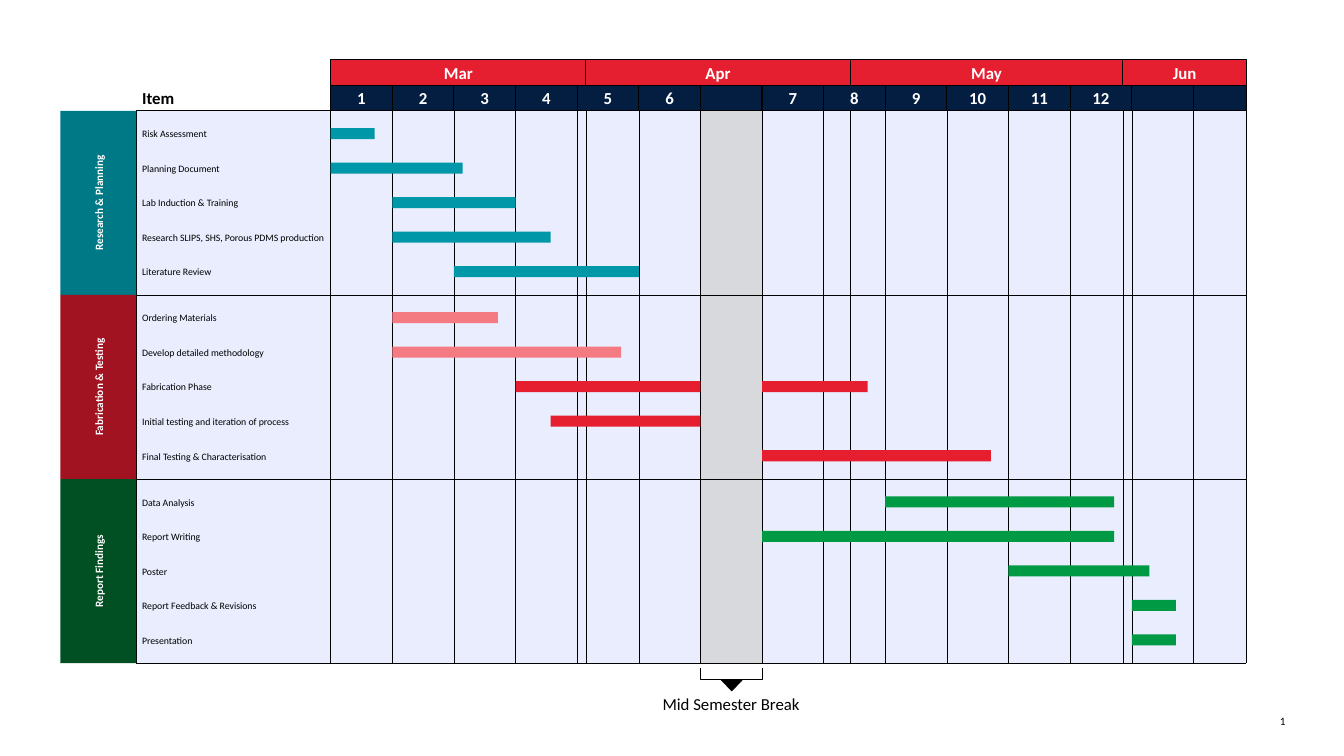
from lxml import etree
from pptx import Presentation
from pptx.dml.color import RGBColor
from pptx.enum.dml import MSO_LINE
from pptx.enum.shapes import MSO_CONNECTOR, MSO_SHAPE
from pptx.enum.text import MSO_ANCHOR, PP_ALIGN
from pptx.oxml.ns import qn
from pptx.util import Inches, Pt

RECT, BRACKET, WEDGE = MSO_SHAPE.RECTANGLE, MSO_SHAPE.RIGHT_BRACKET, MSO_SHAPE.ISOSCELES_TRIANGLE
LEFT, MID, RIGHT = PP_ALIGN.LEFT, PP_ALIGN.CENTER, PP_ALIGN.RIGHT
TOP, CENTRE, LOW = MSO_ANCHOR.TOP, MSO_ANCHOR.MIDDLE, MSO_ANCHOR.BOTTOM
STRAIGHT, DOTS = MSO_CONNECTOR.STRAIGHT, MSO_LINE.ROUND_DOT

BLACK, WHITE, RED, NAVY = "000000", "FFFFFF", "E51F30", "041E42"
TEAL, PINK, GREEN = "0097A9", "F47B81", "009A44"
SIDE, EDGE, START, END = 0.6, 1.35, 3.28, 12.36
HEAD, BODY, FOOT = 0.59, 1.1, 6.58
LABEL = EDGE + 0.06
DAYS = 104
DAY = (END - START) / DAYS
BAND = (FOOT - BODY) / 3
ROW, PAD, BAR = 1.37 / 4, 0.17, 0.11
BREAK = 42

MONTHS = [("Mar", 29), ("Apr", 30), ("May", 31), ("Jun", 14)]
WEEKS = ["1", "2", "3", "4", "5", "6", "", "7", "8", "9", "10", "11", "12", "", ""]
PHASES = [
    ("Research & Planning", "007986", [
        ("Risk Assessment", TEAL, [(0, 5)]),
        ("Planning Document", TEAL, [(0, 15)]),
        ("Lab Induction & Training", TEAL, [(7, 14)]),
        ("Research SLIPS, SHS, Porous PDMS production", TEAL, [(7, 18)]),
        ("Literature Review", TEAL, [(14, 21)])]),
    ("Fabrication & Testing", "A11321", [
        ("Ordering Materials", PINK, [(7, 12)]),
        ("Develop detailed methodology", PINK, [(7, 26)]),
        ("Fabrication Phase", RED, [(21, 21), (49, 12)]),
        ("Initial testing and iteration of process", RED, [(25, 17)]),
        ("Final Testing & Characterisation", RED, [(49, 26)])]),
    ("Report Findings", "005024", [
        ("Data Analysis", GREEN, [(63, 26)]),
        ("Report Writing", GREEN, [(49, 40)]),
        ("Poster", GREEN, [(77, 16)]),
        ("Report Feedback & Revisions", GREEN, [(91, 5)]),
        ("Presentation", GREEN, [(91, 5)])]),
]


def tint(code):
    """Turn a hex string into a colour."""
    return RGBColor.from_string(code)


def day_x(day):
    """Give the horizontal place of a day."""
    return START + day * DAY


def write(frame, words, size, code=BLACK, bold=False, align=LEFT, anchor=TOP, inset=(0, 0)):
    """Put one styled run in a text frame."""
    frame.word_wrap = True
    frame.vertical_anchor = anchor
    frame.margin_left = frame.margin_right = Inches(inset[0])
    frame.margin_top = frame.margin_bottom = Inches(inset[1])
    para = frame.paragraphs[0]
    para.alignment = align
    run = para.add_run()
    run.text = words
    run.font.name, run.font.size, run.font.bold = "Calibri", Pt(size), bold
    run.font.color.rgb = tint(code)


def block(slide, x, y, w, h, fill=None, edge=None, kind=RECT):
    """Add a flat shape with an optional fill and outline."""
    shape = slide.shapes.add_shape(kind, Inches(x), Inches(y), Inches(w), Inches(h))
    shape.shadow.inherit = False
    if fill:
        shape.fill.solid()
        shape.fill.fore_color.rgb = tint(fill)
    else:
        shape.fill.background()
    if edge:
        shape.line.color.rgb = tint(edge)
        shape.line.width = Pt(0.75)
    else:
        shape.line.fill.background()
    return shape


def label(slide, x, y, w, h, words, size, **style):
    """Add a text box."""
    box = slide.shapes.add_textbox(Inches(x), Inches(y), Inches(w), Inches(h))
    write(box.text_frame, words, size, **style)


def rule(slide, x1, y1, x2, y2, width=0.25, dash=None):
    """Add a thin black line."""
    line = slide.shapes.add_connector(STRAIGHT, Inches(x1), Inches(y1), Inches(x2), Inches(y2))
    line.line.color.rgb = tint(BLACK)
    line.line.width = Pt(width)
    if dash:
        line.line.dash_style = dash
    etree.SubElement(line._element.spPr, qn("a:effectLst"))


def header(slide, first, last, y, words, fill):
    """Add a header cell that spans some days."""
    cell = block(slide, day_x(first), y, (last - first) * DAY, (BODY - HEAD) / 2, fill, BLACK)
    if words:
        write(cell.text_frame, words, 12, WHITE, True, MID, CENTRE, (0, 0.03))


def calendar(slide):
    """Draw the month and week headers with their grid."""
    first = 0
    for name, span in MONTHS:
        header(slide, first, first + span, HEAD, name, RED)
        if first:
            rule(slide, day_x(first), BODY, day_x(first), FOOT)
        first += span
    for week, name in enumerate(WEEKS):
        first = week * 7
        header(slide, first, min(first + 7, DAYS), (HEAD + BODY) / 2, name, NAVY)
        if week:
            rule(slide, day_x(first), BODY, day_x(first), FOOT, dash=DOTS)
    for x in (EDGE, START, END):
        rule(slide, x, BODY, x, FOOT, 0.75)
    for band, width in enumerate((0.75, 0.25, 0.25, 0.75)):
        y = BODY + band * BAND
        rule(slide, EDGE, y, END, y, width)


def phase(slide, top, name, fill, tasks):
    """Draw one phase with its side title, tasks and bars."""
    side = block(slide, SIDE, top, EDGE - SIDE, BAND, fill)
    write(side.text_frame, name, 8, WHITE, True, MID, CENTRE, (0.1, 0.1))
    side.text_frame.paragraphs[0].line_spacing = 1.06
    side.text_frame._txBody.bodyPr.set("vert", "vert270")
    for row, (task, code, spans) in enumerate(tasks):
        y = top + PAD + row * ROW
        label(slide, LABEL, y, START - LABEL, 0.12, task, 7)
        for first, span in spans:
            block(slide, day_x(first), y, span * DAY, BAR, code)


def pause(slide):
    """Mark the break below the chart."""
    mid = day_x(BREAK + 3.5)
    clasp = block(slide, mid - 0.06, 6.38, 0.12, 7 * DAY, edge=BLACK, kind=BRACKET)
    clasp.rotation = 90
    clasp.adjustments[0] = 0
    block(slide, mid - 0.11, 6.74, 0.23, 0.12, BLACK, kind=WEDGE).rotation = 180
    label(slide, mid - 0.75, 6.88, 1.5, 0.2, "Mid Semester Break", 12, align=MID)


def main():
    """Build and save the slide."""
    deck = Presentation()
    deck.slide_width, deck.slide_height = Inches(13.33), Inches(7.5)
    slide = deck.slides.add_slide(deck.slide_layouts[6])
    block(slide, EDGE, BODY, END - EDGE, FOOT - BODY, "E9EDFE")
    block(slide, day_x(BREAK), BODY, 7 * DAY, FOOT - BODY, "D8D9DC")
    calendar(slide)
    label(slide, LABEL, 0.87, 1, 0.2, "Item", 12, bold=True, anchor=LOW)
    for band, (name, fill, tasks) in enumerate(PHASES):
        phase(slide, BODY + band * BAND, name, fill, tasks)
    pause(slide)
    label(slide, 12.35, 7.04, 0.5, 0.24, "1", 8, align=RIGHT, inset=(0.1, 0.05))
    deck.save("out.pptx")


if __name__ == "__main__":
    main()
